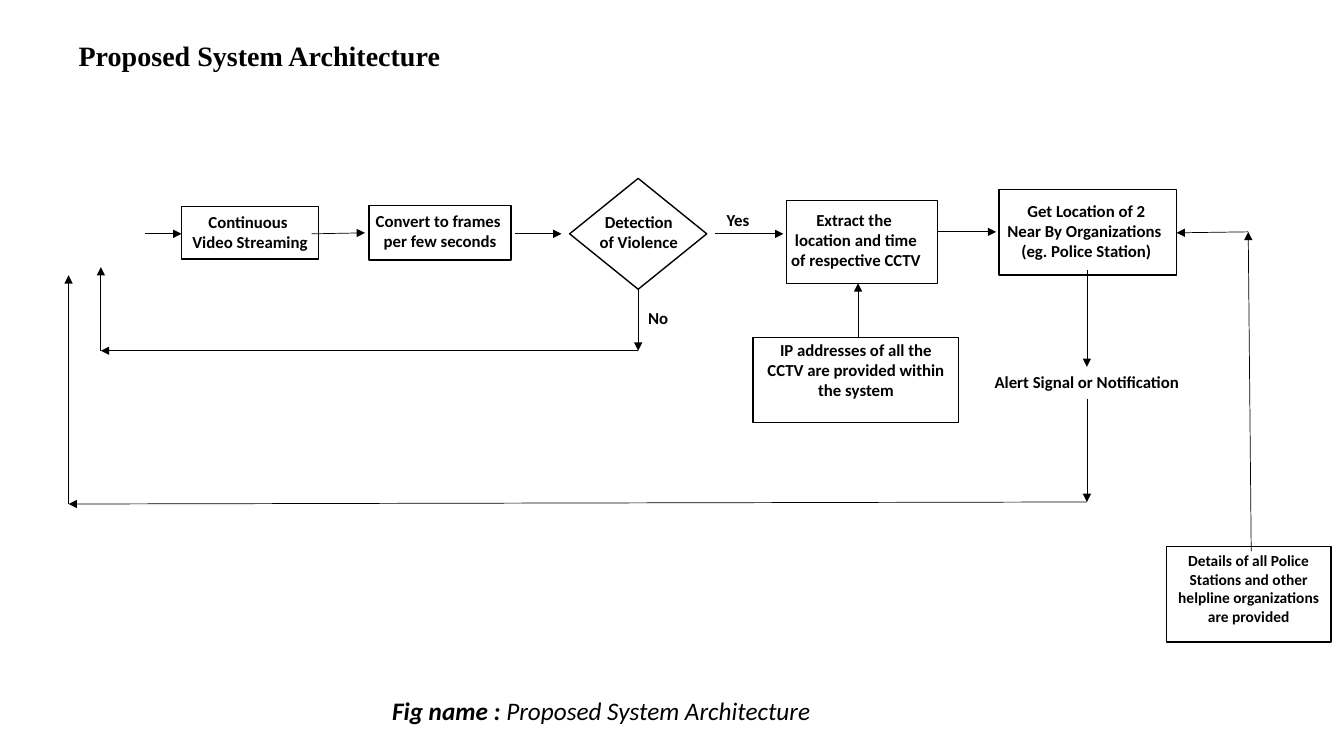
from dataclasses import dataclass
from itertools import pairwise
from lxml.etree import SubElement
from pptx import Presentation
from pptx.dml.color import RGBColor as RGB
from pptx.enum.shapes import MSO_CONNECTOR as Link, MSO_SHAPE as Kind
from pptx.enum.text import MSO_ANCHOR as Anchor, PP_ALIGN as Align
from pptx.oxml.ns import qn
from pptx.util import Inches, Pt


@dataclass(frozen=True)
class Theme:
    ink: RGB = RGB(0, 0, 0)
    paper: RGB = RGB(255, 255, 255)
    head: str = "Times New Roman"
    body: str = "Calibri"
    title: int = 20
    caption: int = 18
    label: int = 12
    small: int = 11
    edge: float = 1
    wire: float = 0.5


theme = Theme()

# Grid: one column or row is one inch; named tracks carry the flow
WIDE, HIGH = 13.33, 7.5
LANE, NEXT = 2.32, 2.3          # rows of the main flow
LOOP, BACK = 3.48, 4.98         # rows of the two return paths
TEST, ALERT, FEED = 6.33, 10.78, 12.38  # columns of the vertical paths
HOME, EDGE = 1, 0.68            # columns where the return paths end

TITLE = "Proposed System Architecture"
CAPTION = [("Fig name :", True), (" Proposed System Architecture", False)]

# Each box: left, top, width, height
BOXES = [
    (Kind.RECTANGLE, (11.57, 5.42, 1.63, 0.95)),
    (Kind.RECTANGLE, (9.91, 1.88, 1.76, 0.85)),
    (Kind.RECTANGLE, (7.47, 3.35, 2.04, 0.84)),
    (Kind.RECTANGLE, (7.8, 1.99, 1.5, 0.82)),
    (Kind.RECTANGLE, (3.66, 2.04, 1.41, 0.54)),
    (Kind.RECTANGLE, (1.8, 2.05, 1.36, 0.52)),
    (Kind.DIAMOND, (5.65, 1.77, 1.36, 1.1)),
]

# Each label: lines, place, format
LABELS = [
    (["Continuous ", "Video Streaming"], (1.8, 2.05, 1.36, 0.53), {}),
    (["Convert to frames ", "per few seconds"], (3.62, 2.04, 1.49, 0.53), {}),
    (["Detection", "of Violence"], (5.84, 2.05, 0.99, 0.53), {}),
    (["No"], (TEST, 3, 0.4, 0.32), {"align": Align.LEFT}),
    (["Yes"], (7.11, 2.03, 0.64, 0.32), {"align": Align.LEFT, "wrap": True}),
    (["Extract the ", "location and time", "of respective CCTV"],
     (7.74, 2.03, 1.5, 0.75), {}),
    (["Get Location of 2", "Near By Organizations ", "(eg. Police Station)"],
     (9.88, 1.94, 1.79, 0.75), {}),
    (["Alert Signal or Notification"], (9.75, 3.64, 2.06, 0.32), {}),
    (["IP addresses of all the CCTV are provided within the system"],
     (7.47, 3.32, 2.04, 0.75), {"wrap": True}),
    (["Details of all Police Stations and other helpline organizations "
      "are provided"],
     (11.57, 5.42, 1.63, 0.89), {"wrap": True, "size": theme.small}),
]

# Each route: points joined in order, with an arrowhead on every leg
ROUTES = [
    [(1.44, LANE), (1.8, LANE)],
    [(3.09, LANE), (3.62, 2.31)],
    [(5.11, LANE), (5.57, LANE)],
    [(7.09, LANE), (7.77, LANE)],
    [(9.3, NEXT), (9.88, NEXT)],
    [(8.51, 3.35), (8.51, 2.81)],
    [(TEST, 2.87), (TEST, LOOP), (HOME, LOOP), (HOME, 2.65)],
    [(ALERT, 2.68), (ALERT, 3.64)],
    [(ALERT, 3.96), (ALERT, BACK), (EDGE, 5), (EDGE, 2.73)],
    [(12.41, 5.47), (FEED, NEXT), (11.67, 2.31)],
]


def grid(*cells):
    return [Inches(c) for c in cells]


def write(frame, lines, size=theme.label, font=theme.body, align=Align.CENTER,
          wrap=False, italic=False):
    """Fill a frame; a line is a string or a list of (text, bold) runs."""
    frame.word_wrap = wrap
    frame.vertical_anchor = Anchor.TOP
    for i, line in enumerate(lines):
        para = frame.add_paragraph() if i else frame.paragraphs[0]
        para.alignment = align
        for text, bold in [(line, True)] if isinstance(line, str) else line:
            run = para.add_run()
            run.text = text
            face = run.font
            face.name, face.size = font, Pt(size)
            face.bold, face.italic = bold, italic
            face.color.rgb = theme.ink


def draw_box(slide, kind, place):
    box = slide.shapes.add_shape(kind, *grid(*place))
    box.shadow.inherit = False
    box.fill.solid()
    box.fill.fore_color.rgb = theme.paper
    box.line.color.rgb = theme.ink
    box.line.width = Pt(theme.edge)


def draw_arrow(slide, start, end):
    wire = slide.shapes.add_connector(Link.STRAIGHT, *grid(*start, *end))
    wire.line.color.rgb = theme.ink
    wire.line.width = Pt(theme.wire)
    props = wire.element.spPr
    SubElement(props.find(qn("a:ln")), qn("a:tailEnd"), type="triangle")
    SubElement(props, qn("a:effectLst"))


def main():
    deck = Presentation()
    deck.slide_width, deck.slide_height = grid(WIDE, HIGH)
    slide = deck.slides.add_slide(deck.slide_layouts[5])

    # Title
    title = slide.shapes.title
    title.left, title.top, title.width, title.height = grid(EDGE, 0.33, 6.67, 0.44)
    write(title.text_frame, [TITLE], size=theme.title, font=theme.head,
          align=Align.LEFT, wrap=True)

    # Flow chart
    for kind, place in BOXES:
        draw_box(slide, kind, place)
    for route in ROUTES:
        for start, end in pairwise(route):
            draw_arrow(slide, start, end)
    for lines, place, style in LABELS:
        label = slide.shapes.add_textbox(*grid(*place))
        write(label.text_frame, lines, **style)

    # Caption
    note = slide.shapes.add_textbox(*grid(3.79, 6.85, 4.56, 0.4))
    write(note.text_frame, [CAPTION], size=theme.caption, align=Align.LEFT,
          wrap=True, italic=True)

    deck.save("out.pptx")


if __name__ == "__main__":
    main()
